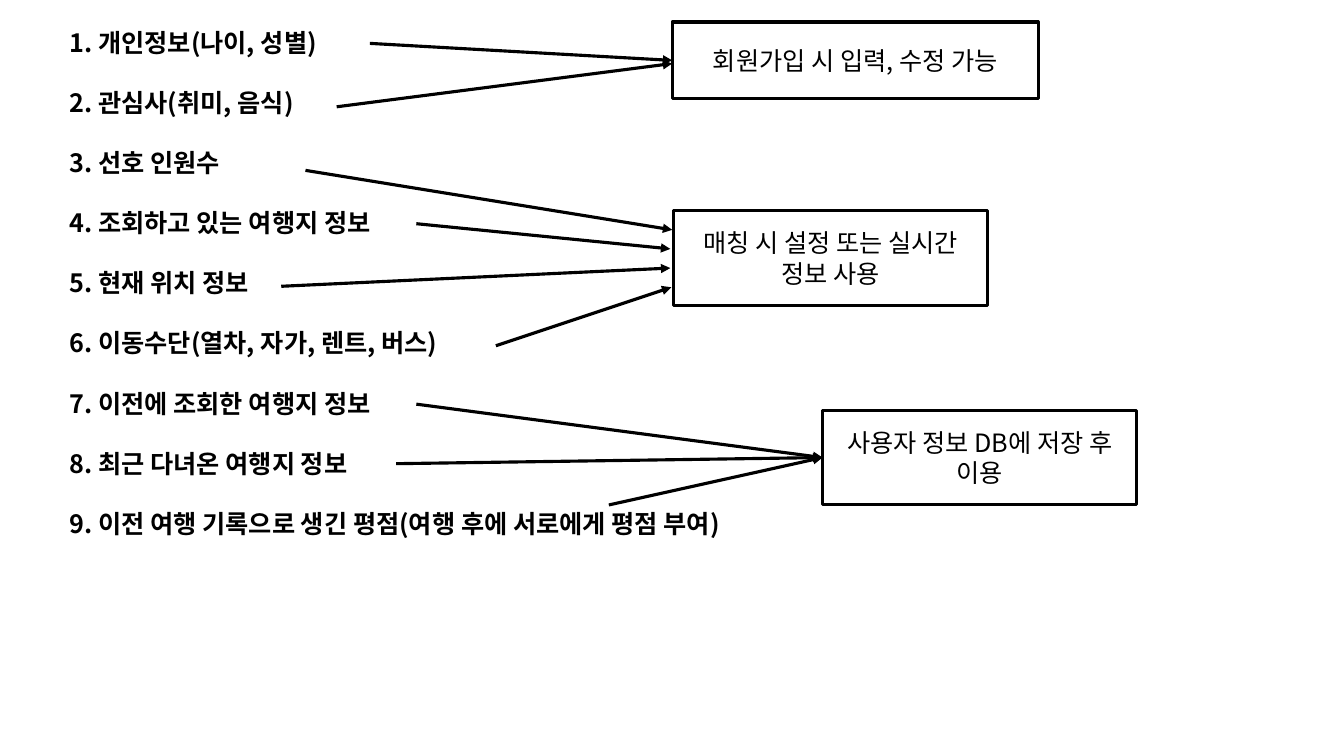
"""Build a slide that maps nine kinds of user data to how each is collected."""
from lxml import etree
from pptx import Presentation
from pptx.dml.color import RGBColor
from pptx.enum import shapes, text
from pptx.oxml import ns
from pptx.util import Pt

COLORS = {"ink": "000000"}
INK = RGBColor.from_string(COLORS["ink"])
FONT = "Noto Sans CJK KR"
LINE_HEIGHT = 21.5
MARGIN = 3.6

ITEMS = [
    "개인정보(나이, 성별)",
    "관심사(취미, 음식)",
    "선호 인원수",
    "조회하고 있는 여행지 정보",
    "현재 위치 정보",
    "이동수단(열차, 자가, 렌트, 버스)",
    "이전에 조회한 여행지 정보",
    "최근 다녀온 여행지 정보",
    "이전 여행 기록으로 생긴 평점(여행 후에 서로에게 평점 부여)",
]

# Each arrow is (start, end); an end of None joins the middle of the box's left side.
USES = [
    ("회원가입 시 입력, 수정 가능", (480.2, 15.8, 261.4, 54.7), [
        ((264.2, 31), None),
        ((240.5, 76.3), (480.2, 45.4)),
    ]),
    ("매칭 시 설정 또는 실시간 정보 사용", (481, 150.5, 224.6, 67.7), [
        ((218.2, 121.7), (480.2, 164.2)),
        ((297.4, 159.8), (478.8, 177.8)),
        ((200.9, 204.5), (478.8, 191.5)),
        ((354.2, 247), (479.5, 205.2)),
    ]),
    ("사용자 정보 DB에 저장 후 이용", (587.5, 293, 224.6, 67.7), [
        ((297.4, 288.7), None),
        ((283, 331.2), None),
        ((434.9, 360.7), None),
    ]),
]


def set_frame(frame, anchor, margin):
    """Give a text frame its wrapping, anchor and margins."""
    frame.word_wrap = True
    frame.auto_size = text.MSO_AUTO_SIZE.NONE
    frame.vertical_anchor = anchor
    frame.margin_left = frame.margin_right = Pt(margin)
    frame.margin_top = frame.margin_bottom = Pt(MARGIN)


def format_para(para, align, bold):
    """Set the line height and fonts of a paragraph."""
    para.alignment = align
    para.line_spacing = Pt(LINE_HEIGHT)
    para.space_before = Pt(0)
    for span in para.runs:
        span.font.name = FONT
        span.font.size = Pt(18)
        span.font.bold = bold
        span.font.color.rgb = INK
        east_asian = etree.SubElement(span.font._element, ns.qn("a:ea"))
        east_asian.set("typeface", FONT)


deck = Presentation()
deck.slide_width, deck.slide_height = Pt(960), Pt(540)
page = deck.slides.add_slide(deck.slide_layouts[1])
title = page.shapes.title
title.element.getparent().remove(title.element)

data_list = page.placeholders[1]
data_list.left, data_list.top = Pt(46.1), Pt(15.8)
data_list.width, data_list.height = Pt(547.9), Pt(392.4)
set_frame(data_list.text_frame, text.MSO_ANCHOR.TOP, MARGIN)
data_list.text_frame.text = "\n".join(
    f"{number}. {item}" for number, item in enumerate(ITEMS, 1))
for index, para in enumerate(data_list.text_frame.paragraphs):
    properties = para._p.get_or_add_pPr()
    properties.set("marL", "0")
    properties.set("indent", "0")
    etree.SubElement(properties, ns.qn("a:buNone"))
    format_para(para, text.PP_ALIGN.LEFT, True)
    if index:
        para.space_before = Pt(LINE_HEIGHT)

for label, bounds, arrows in USES:
    box = page.shapes.add_shape(shapes.MSO_SHAPE.RECTANGLE, *map(Pt, bounds))
    box.shadow.inherit = False
    box.fill.background()
    box.line.color.rgb = INK
    box.line.width = Pt(2.25)
    set_frame(box.text_frame, text.MSO_ANCHOR.MIDDLE, 2 * MARGIN)
    box.text_frame.text = label
    format_para(box.text_frame.paragraphs[0], text.PP_ALIGN.CENTER, False)

    for start, end in arrows:
        arrow = page.shapes.add_connector(
            shapes.MSO_CONNECTOR.STRAIGHT, *map(Pt, start + (end or start)))
        if end is None:
            arrow.end_connect(box, 1)
        arrow.line.color.rgb = INK
        arrow.line.width = Pt(2.25)
        head = etree.SubElement(arrow.line._get_or_add_ln(), ns.qn("a:tailEnd"))
        head.set("type", "triangle")
        etree.SubElement(arrow._element.spPr, ns.qn("a:effectLst"))

deck.save("out.pptx")
